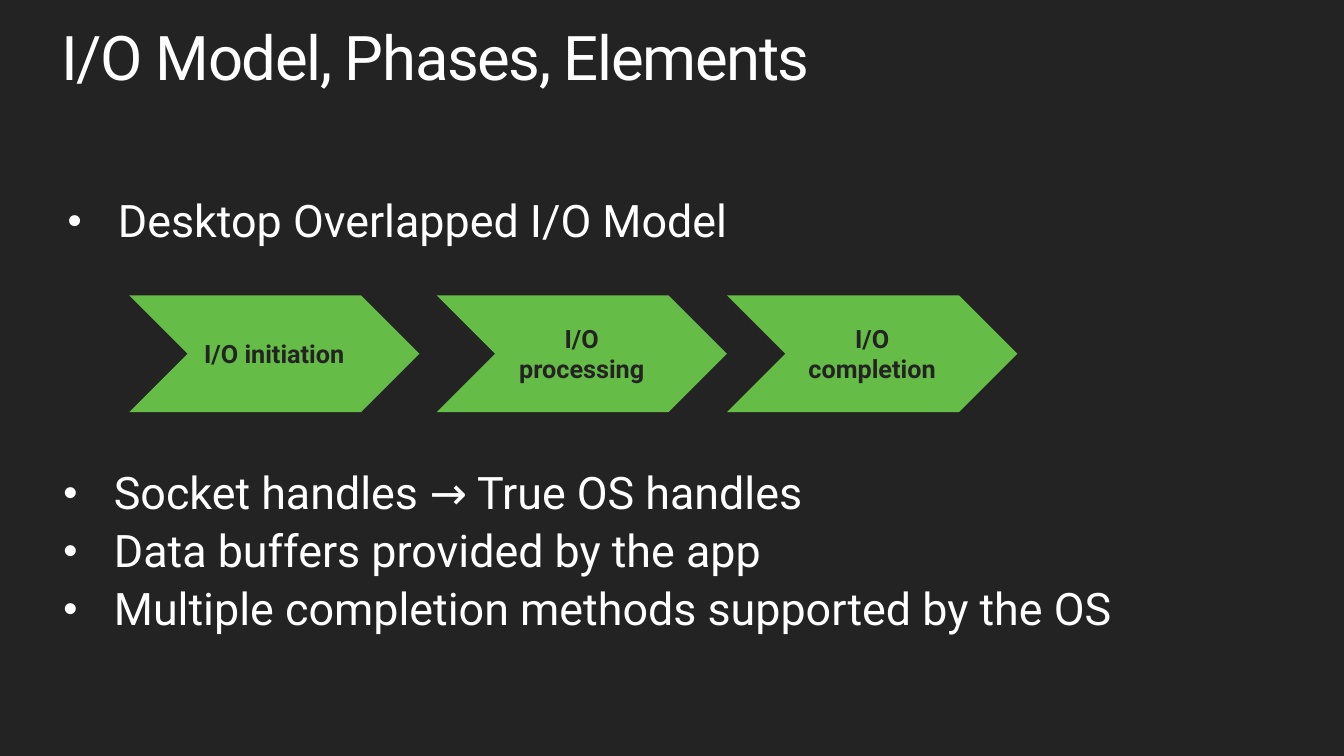
from dataclasses import dataclass

from lxml import etree
from pptx import Presentation
from pptx.dml.color import RGBColor
from pptx.enum.shapes import MSO_SHAPE
from pptx.enum.text import MSO_ANCHOR, PP_ALIGN
from pptx.oxml.ns import qn
from pptx.util import Inches, Pt

CHEVRON = MSO_SHAPE.CHEVRON
MIDDLE = MSO_ANCHOR.MIDDLE
CENTER = PP_ALIGN.CENTER


@dataclass(frozen=True)
class Theme:
    font: str = "Roboto"
    background: RGBColor = RGBColor(0x23, 0x23, 0x23)
    text: RGBColor = RGBColor(0xFF, 0xFF, 0xFF)
    accent: RGBColor = RGBColor(0x65, 0xBC, 0x46)
    title_size: int = 44
    bullet_size: int = 32
    phase_size: int = 18


THEME = Theme()


def add_run(paragraph, text, size, color, bold=False):
    run = paragraph.add_run()
    run.text = text
    run.font.name = THEME.font
    run.font.size = Pt(size)
    run.font.color.rgb = color
    run.font.bold = bold
    return run


def set_margins(text_frame, horizontal, vertical):
    text_frame.margin_left = text_frame.margin_right = Inches(horizontal)
    text_frame.margin_top = text_frame.margin_bottom = Inches(vertical)


def add_text_frame(slide, left, top, width, height):
    box = slide.shapes.add_textbox(
        Inches(left), Inches(top), Inches(width), Inches(height)
    )
    text_frame = box.text_frame
    text_frame.word_wrap = True
    set_margins(text_frame, 0, 0)
    return text_frame


def add_title(slide, text):
    paragraph = add_text_frame(slide, 0.61, 0.27, 12.06, 0.67).paragraphs[0]
    paragraph.line_spacing = 0.9
    run = add_run(paragraph, text, THEME.title_size, THEME.text)
    run.font._element.set("spc", "-100")


def format_bullet(paragraph):
    paragraph.line_spacing = 0.9
    paragraph.space_before = Pt(7)
    properties = paragraph._p.get_or_add_pPr()
    properties.set("marL", str(Inches(0.5)))
    properties.set("indent", str(Inches(-0.5)))
    etree.SubElement(properties, qn("a:buSzPct"), val="90000")
    etree.SubElement(properties, qn("a:buFont"), typeface="Arial")
    etree.SubElement(properties, qn("a:buChar"), char="•")


def add_bullets(slide, left, top, height, lines):
    text_frame = add_text_frame(slide, left, top, 10.47, height)
    for index, line in enumerate(lines):
        paragraph = text_frame.add_paragraph() if index else text_frame.paragraphs[0]
        format_bullet(paragraph)
        add_run(paragraph, line, THEME.bullet_size, THEME.text)


def add_phase(slide, left, text):
    shape = slide.shapes.add_shape(
        CHEVRON, Inches(left), Inches(2.93), Inches(2.88), Inches(1.16)
    )
    shape.shadow.inherit = False
    shape.fill.solid()
    shape.fill.fore_color.rgb = THEME.accent
    shape.line.fill.background()
    text_frame = shape.text_frame
    text_frame.word_wrap = True
    text_frame.vertical_anchor = MIDDLE
    set_margins(text_frame, 0.13, 0.07)
    paragraph = text_frame.paragraphs[0]
    paragraph.alignment = CENTER
    add_run(paragraph, text, THEME.phase_size, THEME.background, bold=True)


def main():
    presentation = Presentation()
    presentation.slide_width = Inches(13.33)
    presentation.slide_height = Inches(7.5)
    slide = presentation.slides.add_slide(presentation.slide_layouts[6])
    slide.background.fill.solid()
    slide.background.fill.fore_color.rgb = THEME.background

    add_title(slide, "I/O Model, Phases, Elements")
    add_bullets(slide, 0.67, 1.97, 0.48, ["Desktop Overlapped I/O Model"])
    phases = [
        (1.28, "I/O initiation"),
        (4.33, "I/O processing"),
        (7.21, "I/O completion"),
    ]
    for left, text in phases:
        add_phase(slide, left, text)
    add_bullets(slide, 0.63, 4.67, 1.67, [
        "Socket handles → True OS handles",
        "Data buffers provided by the app",
        "Multiple completion methods supported by the OS",
    ])
    presentation.save("out.pptx")


if __name__ == "__main__":
    main()
